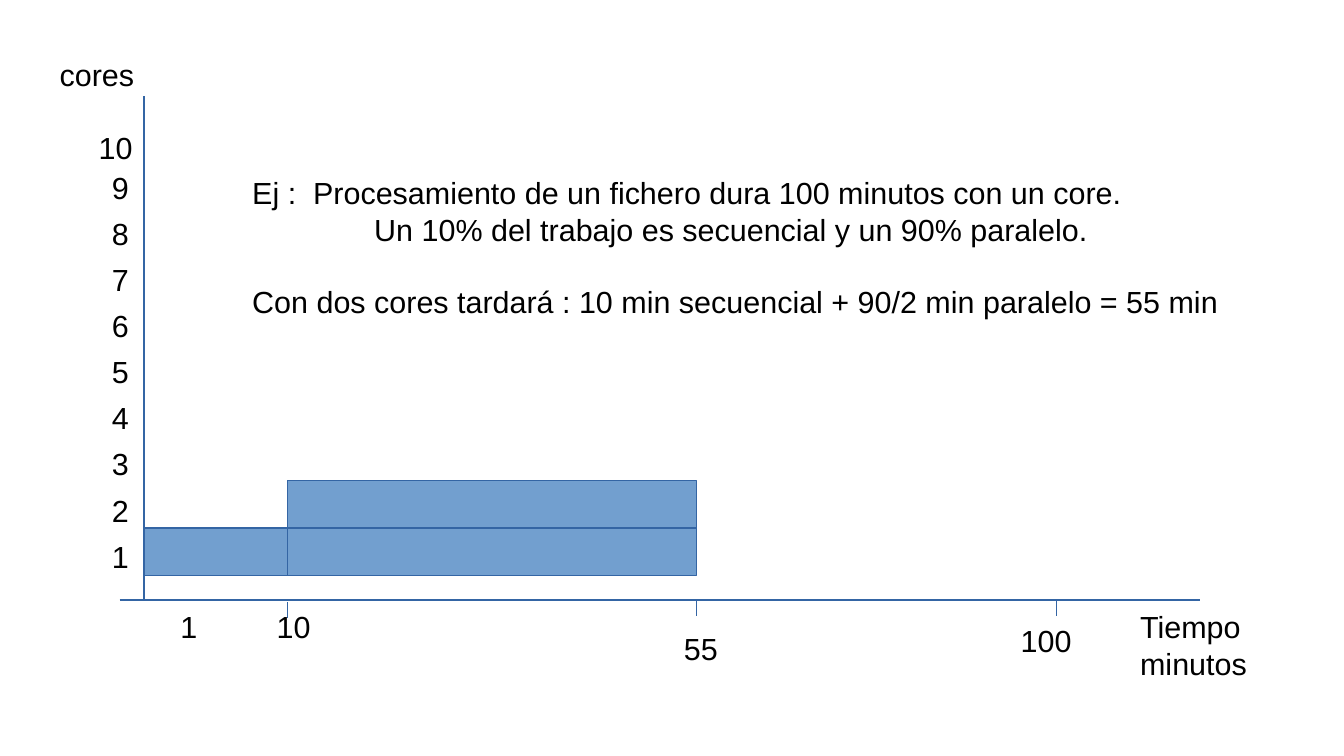
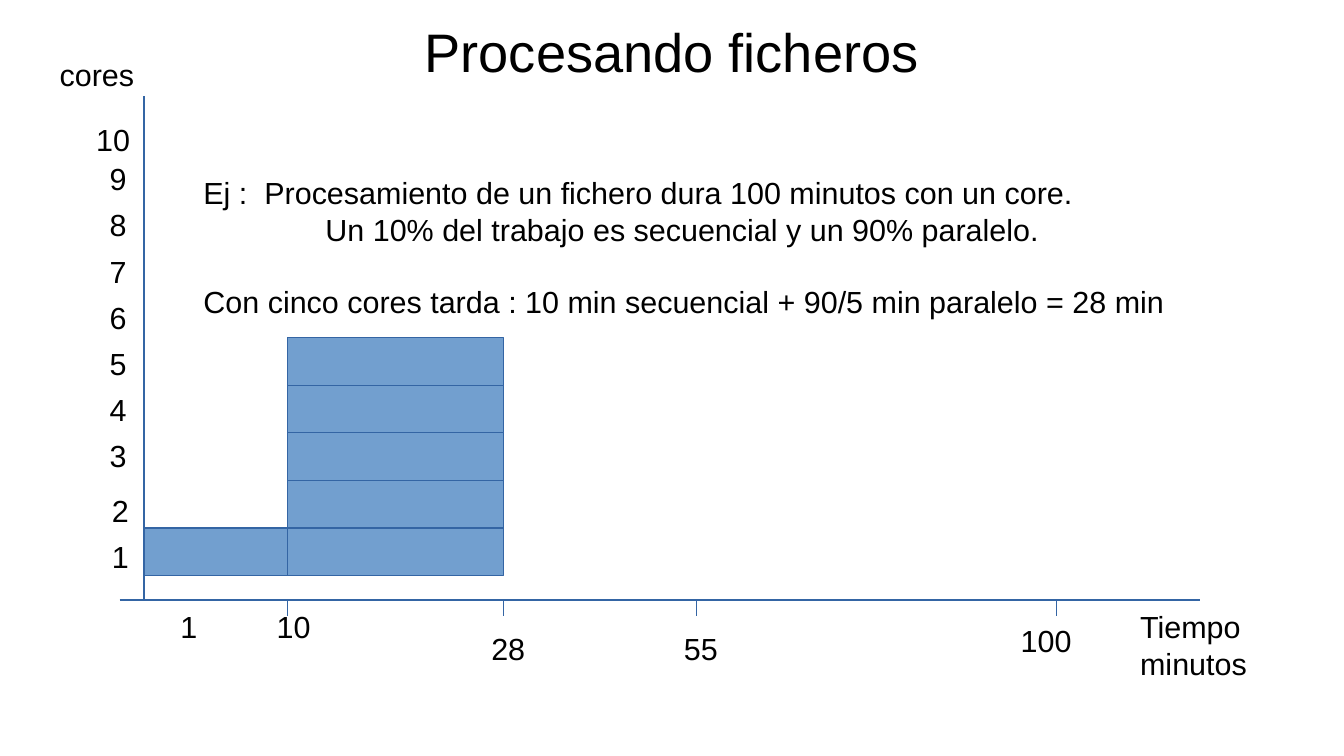
"""Builds two slides that plot cores against minutes for a partly parallel job."""
from lxml import etree
from pptx import Presentation
from pptx.dml.color import RGBColor
from pptx.enum.shapes import MSO_CONNECTOR, MSO_SHAPE
from pptx.enum.text import MSO_ANCHOR, PP_ALIGN
from pptx.oxml.ns import qn
from pptx.util import Inches, Pt

STRAIGHT = MSO_CONNECTOR.STRAIGHT
RECTANGLE = MSO_SHAPE.RECTANGLE
CENTER = PP_ALIGN.CENTER
MIDDLE = MSO_ANCHOR.MIDDLE
FONT, BLACK, LINE, FILL = "Arial", "000000", "3465A4", "729FCF"
TITLE_ONLY, BLANK = 5, 6

ORIGIN_X, AXIS_Y = 1.18, 4.92
PARALLEL_X = 2.36
CORE_H, BARS_BOTTOM = 0.39, 4.72
LABEL_STEP = 0.378
TICK_H = 0.13


def color(value):
    return RGBColor.from_string(value)


def add_text(slide, left, top, width, height, lines):
    frame = slide.shapes.add_textbox(
        Inches(left), Inches(top), Inches(width), Inches(height)).text_frame
    frame.word_wrap = True
    for number, line in enumerate(lines):
        paragraph = frame.paragraphs[0] if number == 0 else frame.add_paragraph()
        run = paragraph.add_run()
        run.text = line
        run.font.name = FONT
        run.font.size = Pt(18)
        run.font.color.rgb = color(BLACK)
    return frame


CASES = [
    {"title": None, "cores": 2, "end": 5.71,
     "example": (1.97, 8.3), "raised_from": None, "first_tick": 4.94,
     "ticks": [(55, 5.71)],
     "result": "Con dos cores tardará : 10 min secuencial + 90/2 min paralelo = 55 min"},
    {"title": "Procesando ficheros", "cores": 5, "end": 4.13,
     "example": (1.57, 8.66), "raised_from": 3, "first_tick": AXIS_Y,
     "ticks": [(28, 4.13), (55, 5.71)],
     "result": "Con cinco cores tarda : 10 min secuencial + 90/5 min paralelo = 28 min"},
]

prs = Presentation()
prs.slide_width, prs.slide_height = Inches(11.02), Inches(6.2)

for case in CASES:
    slide = prs.slides.add_slide(
        prs.slide_layouts[TITLE_ONLY if case["title"] else BLANK])
    if case["title"]:
        title = slide.shapes.title
        title.left, title.top = Inches(0.55), Inches(0.17)
        title.width, title.height = Inches(9.92), Inches(0.5)
        heading = title.text_frame
        heading.margin_left = heading.margin_right = 0
        heading.margin_top = heading.margin_bottom = 0
        heading.vertical_anchor = MIDDLE
        heading.paragraphs[0].alignment = CENTER
        run = heading.paragraphs[0].add_run()
        run.text = case["title"]
        run.font.name = FONT
        run.font.size = Pt(32)
        run.font.color.rgb = color(BLACK)

    axes = [(ORIGIN_X, 0.79, ORIGIN_X, AXIS_Y), (0.98, AXIS_Y, 9.84, AXIS_Y)]
    ticks = [(PARALLEL_X, case["first_tick"])]
    ticks += [(x, AXIS_Y) for minute, x in case["ticks"] + [(100, 8.66)]]
    for x1, y1, x2, y2 in axes + [(x, y, x, y + TICK_H) for x, y in ticks]:
        line = slide.shapes.add_connector(
            STRAIGHT, Inches(x1), Inches(y1), Inches(x2), Inches(y2))
        line.line.color.rgb = color(LINE)
        line.line.width = Pt(0.75)
        etree.SubElement(line._element.spPr, qn("a:effectLst"))

    add_text(slide, 0.39, 0.41, 0.98, 0.38, ["cores"])
    add_text(slide, 9.25, 4.94, 1.38, 1.22, ["Tiempo", "minutos"])

    for core in range(1, 11):
        raised = case["raised_from"] and core >= case["raised_from"]
        left, top = (0.71, 1.01) if core == 10 else (0.82, 4.36 - (core - 1) * LABEL_STEP)
        if raised:
            left, top = left - 0.02, top - 0.07
        add_text(slide, left, top, 0.59 if core == 10 else 0.36, 0.38, [str(core)])

    add_text(slide, 1.38, 4.94, 0.36, 0.38, ["1"])
    add_text(slide, 2.17, 4.94, 0.79, 0.38, ["10"])
    for minute, x in case["ticks"]:
        add_text(slide, x - 0.2, 5.12, 0.79, 0.38, [str(minute)])
    add_text(slide, 8.27, 5.05, 0.79, 0.38, ["100"])

    bars = [(ORIGIN_X, PARALLEL_X, 1)]
    bars += [(PARALLEL_X, case["end"], core) for core in range(1, case["cores"] + 1)]
    for start, end, core in bars:
        bar = slide.shapes.add_shape(
            RECTANGLE, Inches(start), Inches(BARS_BOTTOM - core * CORE_H),
            Inches(end - start), Inches(CORE_H))
        bar.shadow.inherit = False
        bar.fill.solid()
        bar.fill.fore_color.rgb = color(FILL)
        bar.line.color.rgb = color(LINE)
        bar.line.width = Pt(0.75)

    left, width = case["example"]
    example = add_text(slide, left, 1.38, width, 1.57, [
        "Ej :  Procesamiento de un fichero dura 100 minutos con un core.",
        "Un 10% del trabajo es secuencial y un 90% paralelo.",
        case["result"]])
    example.paragraphs[1]._p.get_or_add_pPr().set("marL", str(Inches(1)))
    example.paragraphs[2].space_before = Pt(21)

prs.save("out.pptx")
